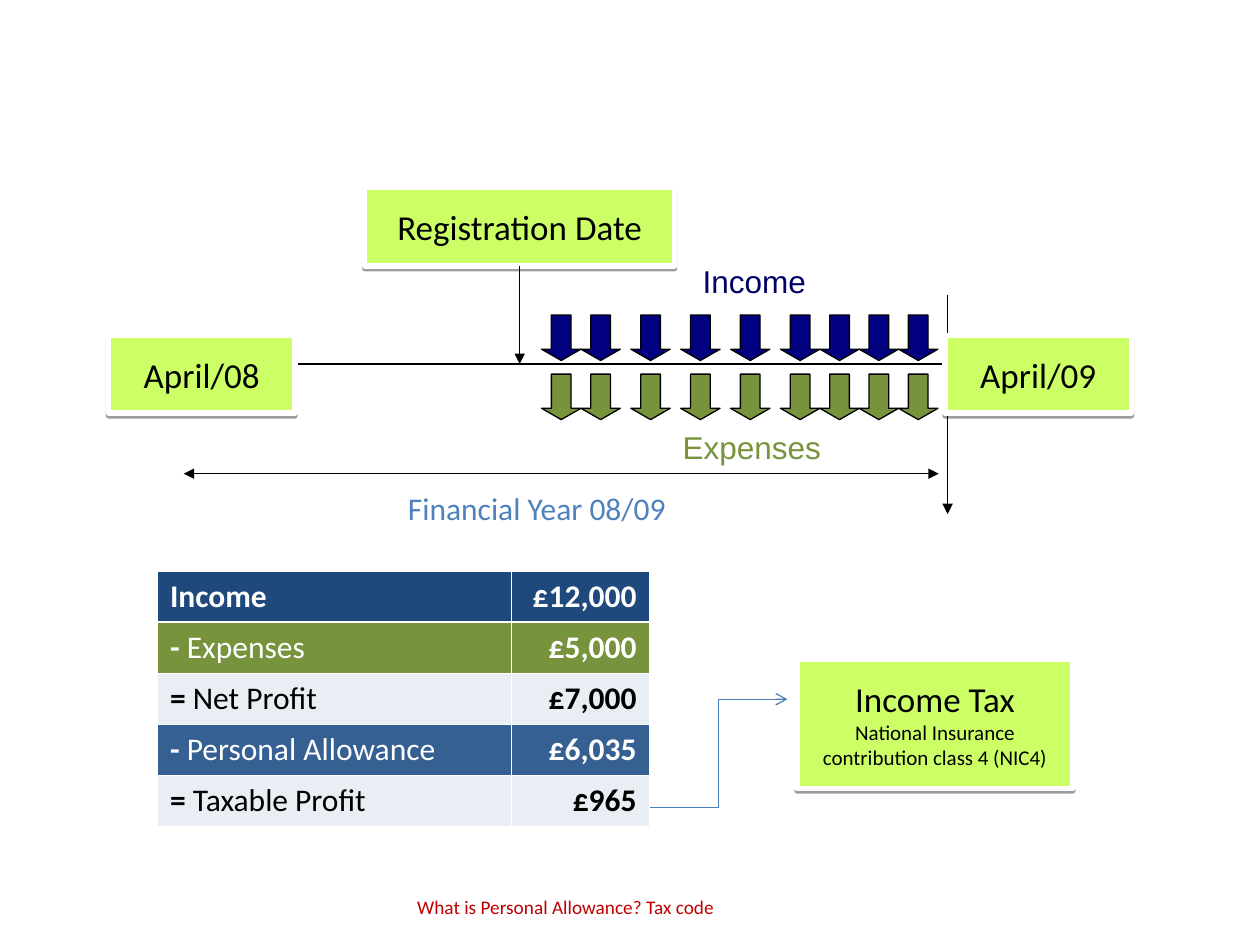
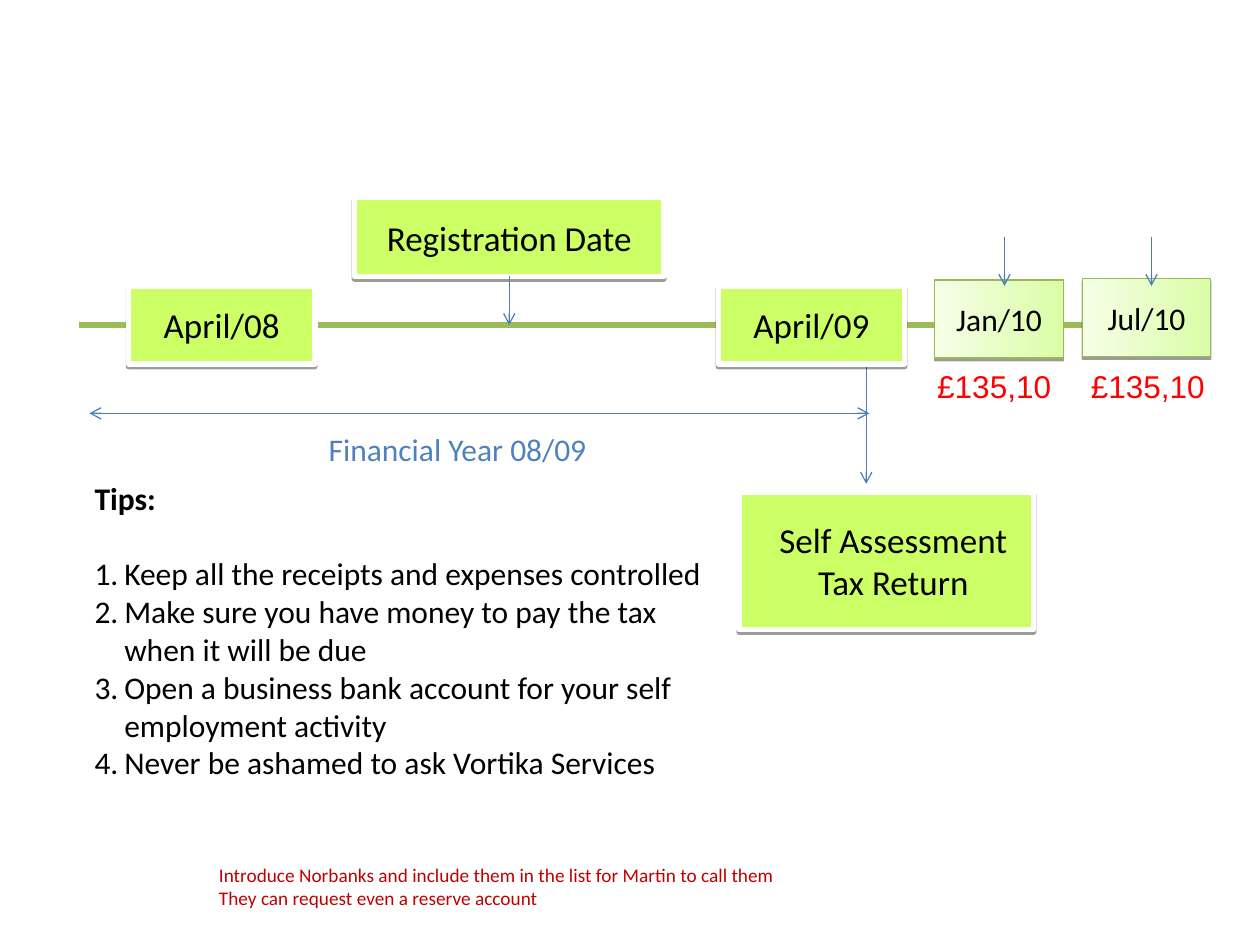
"""Build two slides on the self-employed tax year: timeline with profit table, and payment dates with tips."""
import itertools

import pptx
import pptx.chart.data
import pptx.dml.color
import pptx.enum.dml
import pptx.enum.shapes
import pptx.enum.text
import pptx.oxml
import pptx.oxml.ns
import pptx.util
from lxml import etree

Pt = pptx.util.Pt
SHAPES = pptx.enum.shapes.MSO_SHAPE
CONNECTORS = pptx.enum.shapes.MSO_CONNECTOR
ALIGN = pptx.enum.text.PP_ALIGN
ANCHOR = pptx.enum.text.MSO_ANCHOR

COLORS = {
    "black": "000000", "white": "FFFFFF", "lime": "CCFF66", "navy": "000080",
    "income": "000066", "expenses": "77933C", "year": "4F81BD", "arrow": "4A7EBB",
    "timeline": "9BBB59", "due_edge": "98B954", "due_light": "F5FFE6", "due_dark": "DAFDA7",
    "due_amount": "FF0000", "remark": "C00000", "header": "1F497D", "allowance": "376092",
    "result": "E9EDF4",
}

DATE_SIZE = (106.6, 44.6)
REGISTRATION_SIZE = (177, 45)
DUE_SIZE = (73.4, 44.6)

PROFIT_ROWS = [
    ("Income", "", "£12,000", "header", "white"),
    ("- ", "Expenses", "£5,000", "expenses", "white"),
    ("= ", "Net Profit", "£7,000", "result", "black"),
    ("- ", "Personal Allowance", "£6,035", "allowance", "white"),
    ("= ", "Taxable Profit", "£965", "result", "black"),
]
PROFIT_COLUMNS = (202.5, 78.5)
PROFIT_ROW_HEIGHT = 29.2

FLOW_START = 309.5
FLOW_GAPS = [22.5, 28.5, 28.5, 28.5, 28.5, 22.5, 22.5, 22.5]
FLOW_ROWS = [(180, "navy"), (213.8, "expenses")]

TIPS = [
    "Keep all the receipts and expenses controlled",
    "Make sure you have money to pay the tax when it will be due",
    "Open a business bank account for your self employment activity",
    "Never be ashamed to ask Vortika Services",
]
DUE_DATES = [
    ("Jan/10", "£135,10", (534.2, 160), 574, 528.5),
    ("Jul/10", "£135,10", (618.5, 159.2), 658, 616.3),
]


def color(name):
    return pptx.dml.color.RGBColor.from_string(COLORS[name])


def add_xml(parent, tag, **attributes):
    child = etree.SubElement(parent, pptx.oxml.ns.qn(tag))
    for key, value in attributes.items():
        child.set(key, str(value))
    return child


def add_run(paragraph, text, size, color_name, font="Calibri", bold=False):
    run = paragraph.add_run()
    run.text = text
    run.font.size = Pt(size)
    run.font.name = font
    run.font.bold = bold
    run.font.color.rgb = color(color_name)


def write_lines(frame, lines, color_name, align, font="Calibri", bold=False):
    frame.word_wrap = True
    frame.auto_size = pptx.enum.text.MSO_AUTO_SIZE.NONE
    for index, (text, size) in enumerate(lines):
        paragraph = frame.add_paragraph() if index else frame.paragraphs[0]
        paragraph.alignment = align
        paragraph.space_before = Pt(0)
        add_run(paragraph, text, size, color_name, font, bold)


def add_label(slide, position, size, lines, color_name, font="Calibri", align=ALIGN.LEFT):
    label = slide.shapes.add_textbox(*map(Pt, position + size))
    write_lines(label.text_frame, lines, color_name, align, font)


def add_box(slide, position, size, lines, due=False, insets=(7.2, 7.2)):
    box = slide.shapes.add_shape(SHAPES.RECTANGLE, *map(Pt, position + size))
    if due:
        box.fill.gradient()
        box.fill.gradient_angle = 0
        for stop, name in zip(box.fill.gradient_stops, ("due_light", "due_dark")):
            stop.color.rgb = color(name)
    else:
        box.fill.solid()
        box.fill.fore_color.rgb = color("lime")
    box.line.color.rgb = color("due_edge" if due else "white")
    box.line.width = Pt(0.75 if due else 3)
    box.shadow.inherit = False
    effects = box.element.spPr.find(pptx.oxml.ns.qn("a:effectLst"))
    shadow = add_xml(effects, "a:outerShdw", dist=Pt(1.6), dir=5400000, rotWithShape=0)
    add_xml(add_xml(shadow, "a:srgbClr", val=COLORS["black"]), "a:alpha", val=38000)
    frame = box.text_frame
    frame.margin_left, frame.margin_right = map(Pt, insets)
    frame.vertical_anchor = ANCHOR.MIDDLE
    write_lines(frame, lines, "black", ALIGN.CENTER)
    return box


def add_line(slide, start, end, color_name="black", width=0.75, head=None, tail=None,
             kind=CONNECTORS.STRAIGHT):
    connector = slide.shapes.add_connector(kind, *map(Pt, start + end))
    connector.line.color.rgb = color(color_name)
    connector.line.width = Pt(width)
    properties = connector.element.spPr
    outline = properties.find(pptx.oxml.ns.qn("a:ln"))
    for tag, arrowhead in (("a:headEnd", head), ("a:tailEnd", tail)):
        if arrowhead:
            add_xml(outline, tag, type=arrowhead)
    add_xml(properties, "a:effectLst")
    return connector


def add_registration(slide, position, line_bottom, color_name, tail):
    box = add_box(slide, position, REGISTRATION_SIZE, [("Registration Date", 20)])
    center = position[0] + REGISTRATION_SIZE[0] / 2
    bottom = position[1] + REGISTRATION_SIZE[1]
    connector = add_line(slide, (center, bottom), (center, line_bottom), color_name, tail=tail)
    connector.begin_connect(box, 2)


def add_year_ends(slide, lefts, top):
    for text, left in zip(("April/08", "April/09"), lefts):
        add_box(slide, (left, top), DATE_SIZE, [(text, 20)])


def add_year_label(slide, position):
    add_label(slide, position, (170, 29), [("Financial Year 08/09", 18)], "year")


def add_flow_arrows(slide):
    for top, name in FLOW_ROWS:
        for left in itertools.accumulate(FLOW_GAPS, initial=FLOW_START):
            arrow = slide.shapes.add_shape(SHAPES.DOWN_ARROW, Pt(left), Pt(top), Pt(22.5), Pt(26))
            arrow.adjustments[0], arrow.adjustments[1] = 0.5, 0.286
            arrow.fill.solid()
            arrow.fill.fore_color.rgb = color(name)
            arrow.line.color.rgb = color("black")
            arrow.line.width = Pt(0.75)
            arrow.shadow.inherit = False


def set_borders(cell, widths):
    properties = cell._tc.get_or_add_tcPr()
    for index, (tag, width) in enumerate(widths.items()):
        border = add_xml(properties, tag, w=Pt(width))
        add_xml(add_xml(border, "a:solidFill"), "a:srgbClr", val=COLORS["white"])
        properties.insert(index, border)


def add_profit_table(slide, position):
    size = (sum(PROFIT_COLUMNS), PROFIT_ROW_HEIGHT * len(PROFIT_ROWS))
    table = slide.shapes.add_table(len(PROFIT_ROWS), 2, *map(Pt, position + size)).table
    table.first_row = table.horz_banding = False
    for column, width in zip(table.columns, PROFIT_COLUMNS):
        column.width = Pt(width)
    for index, (lead, name, amount, fill, text_color) in enumerate(PROFIT_ROWS):
        table.rows[index].height = Pt(PROFIT_ROW_HEIGHT)
        label_cell, amount_cell = table.cell(index, 0), table.cell(index, 1)
        for cell in (label_cell, amount_cell):
            cell.fill.solid()
            cell.fill.fore_color.rgb = color(fill)
            set_borders(cell, {
                "a:lnL": 0.45, "a:lnR": 0.45,
                "a:lnT": 1.47 if index == 1 else 0.45,
                "a:lnB": 1.47 if index == 0 else 0.45,
            })
        label = label_cell.text_frame.paragraphs[0]
        add_run(label, lead, 18, text_color, bold=True)
        if name:
            add_run(label, name, 18, text_color)
        total = amount_cell.text_frame.paragraphs[0]
        total.alignment = ALIGN.RIGHT
        add_run(total, amount, 18, text_color, bold=True)


def place(placeholder, position, size):
    placeholder.left, placeholder.top, placeholder.width, placeholder.height = map(Pt, position + size)
    placeholder.text_frame.vertical_anchor = ANCHOR.TOP


def add_tips(slide):
    title, body = slide.shapes.title, slide.placeholders[1]
    place(title, (46.8, 270), (364, 29))
    write_lines(title.text_frame, [("Tips:", 18)], "black", ALIGN.LEFT, bold=True)
    place(body, (46.8, 313.2), (364, 137))
    write_lines(body.text_frame, [(tip, 18) for tip in TIPS], "black", ALIGN.LEFT)
    for paragraph in body.text_frame.paragraphs:
        properties = paragraph._p.get_or_add_pPr()
        properties.set("marL", str(Pt(17)))
        properties.set("indent", str(Pt(-17)))
        add_xml(properties, "a:buFont", typeface="Calibri")
        add_xml(properties, "a:buAutoNum", type="arabicPeriod")


def build_profit_slide(presentation):
    slide = presentation.slides.add_slide(presentation.slide_layouts[6])
    add_line(slide, (111, 208), (541.5, 208))
    add_line(slide, (105, 270.7), (536.5, 270.7), head="triangle", tail="triangle")
    add_line(slide, (541.5, 168.5), (541.5, 293.8), tail="triangle")
    add_flow_arrows(slide)
    add_label(slide, (394.5, 146.2), (80, 29), [("Income", 18)], "income", "Arial")
    add_label(slide, (383, 241.2), (100, 29), [("Expenses", 18)], "expenses", "Arial")
    add_year_ends(slide, (62, 540), 191.5)
    add_registration(slide, (208.5, 107), 208, "black", "triangle")
    add_year_label(slide, (226, 275.8))
    add_profit_table(slide, (90, 326.2))
    add_line(slide, (371.5, 461.5), (450, 399.6), "arrow", tail="arrow", kind=CONNECTORS.ELBOW)
    add_box(slide, (455.4, 377), (157.7, 73.4),
            [("Income Tax", 20), ("National Insurance contribution class 4 (NIC4)", 12)],
            insets=(12, 12))
    add_label(slide, (106.5, 508.3), (433.5, 21),
              [("What is Personal Allowance? Tax code", 11)], "remark", align=ALIGN.CENTER)


def build_payment_slide(presentation):
    slide = presentation.slides.add_slide(presentation.slide_layouts[1])
    add_tips(slide)
    add_line(slide, (495, 164), (495, 276.5), "arrow", tail="arrow")
    add_line(slide, (45.4, 185.8), (652.3, 185.8), "timeline", 3)
    add_year_ends(slide, (73.4, 410.4), 163.4)
    add_line(slide, (496.8, 236.2), (51.1, 236.2), "arrow", head="arrow", tail="arrow")
    add_registration(slide, (202.5, 113), 185.8, "arrow", "arrow")
    add_year_label(slide, (180.7, 242))
    add_box(slide, (422.3, 281.2), (168.5, 78.5),
            [("Self Assessment", 20), ("Tax Return", 20)], insets=(15, 7.2))
    for date, amount, position, arrow_x, amount_left in DUE_DATES:
        add_box(slide, position, DUE_SIZE, [(date, 18)], due=True)
        add_line(slide, (arrow_x, 135.4), (arrow_x, 163.4), "arrow", tail="arrow")
        add_label(slide, (amount_left, 206), (84.2, 29), [(amount, 18)], "due_amount", "Arial")
    add_label(slide, (118, 489.6), (433.5, 34), [
        ("Introduce Norbanks and include them in the list for Martin to call them", 11),
        ("They can request even a reserve account", 11),
    ], "remark")


def main():
    presentation = pptx.Presentation()
    presentation.slide_width, presentation.slide_height = Pt(720), Pt(540)
    build_profit_slide(presentation)
    build_payment_slide(presentation)
    presentation.save("out.pptx")


if __name__ == "__main__":
    main()
